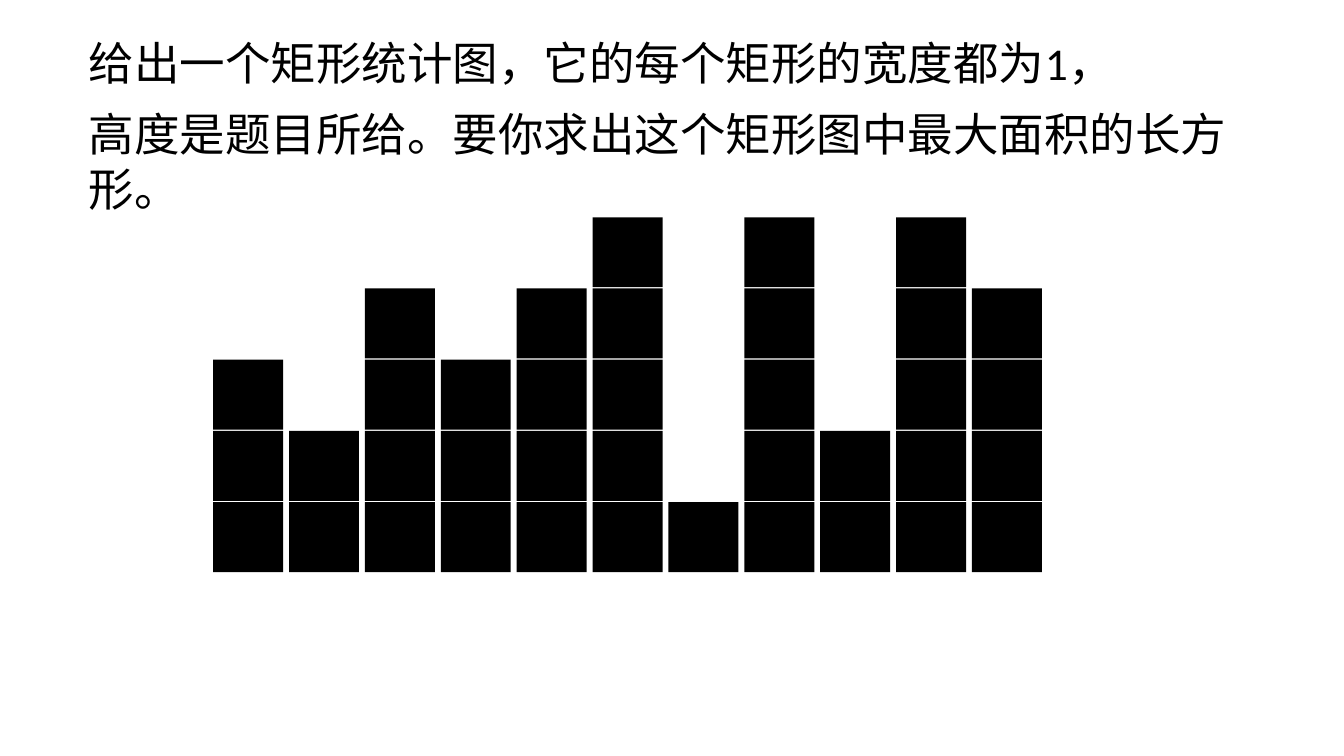
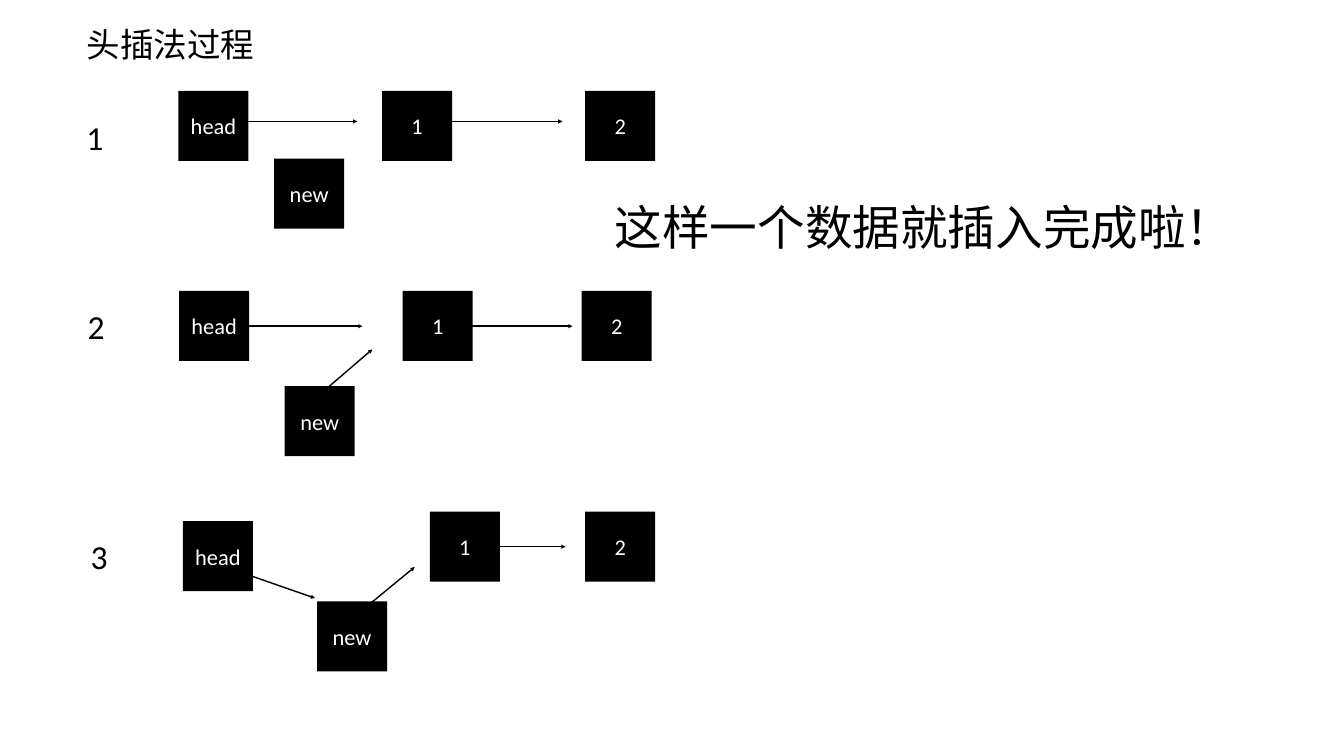
import pptx
import pptx.dml.color
import pptx.enum.shapes
import pptx.enum.text
import pptx.oxml
import pptx.oxml.ns
import pptx.util

Pt = pptx.util.Pt
Anchor = pptx.enum.text.MSO_ANCHOR
Align = pptx.enum.text.PP_ALIGN

# Content: histogram slide
PROBLEM = [
    "给出一个矩形统计图，它的每个矩形的宽度都为1，",
    "高度是题目所给。要你求出这个矩形图中最大面积的长方形。",
]
BAR_HEIGHTS = [3, 2, 4, 3, 4, 5, 1, 5, 2, 5, 4]

# Content: head insertion slide (nodes: left, top; arrows: from, to)
TITLE = "头插法过程"
CONCLUSION = "这样一个数据就插入完成啦！"
STEPS = [
    {
        "number": ("1", 119.5, 158.5),
        "nodes": {"head": (255, 130), "new": (391.7, 226.8),
                  "1": (545.8, 130), "2": (836, 130)},
        "arrows": [(343, 173.5, 510.5, 173.5), (635, 173.5, 803.5, 173.5)],
    },
    {
        "number": ("2", 121, 429),
        "nodes": {"head": (256, 415.5), "new": (406.8, 551.5),
                  "1": (575.3, 415.5), "2": (831, 415.5)},
        "arrows": [(350, 466, 518, 466), (412, 602, 532, 499),
                   (650, 466, 818, 466)],
    },
    {
        "number": ("3", 125.5, 757.5),
        "nodes": {"head": (261.4, 744.5), "new": (453, 859),
                  "1": (614, 731), "2": (836, 731)},
        "arrows": [(282, 796, 450, 854.5), (471.5, 909.5, 592.5, 810),
                   (639.5, 781, 808, 781)],
    },
]

# Theme and layout rules
THEME = {
    "font": "Calibri",
    "ink": pptx.dml.color.RGBColor(0, 0, 0),
    "paper": pptx.dml.color.RGBColor(255, 255, 255),
    "problem": 65, "conclusion": 68, "label": 48, "node": 32,
    "space": 24, "inset": 4, "line": 2,
}
PAGE_SIZE = (1920, 1080)
TILE = 100
BARS_LEFT, BARS_BASE = 304.5, 817.2
COLUMN_STEP, ROW_STEP = 108.4, 101.7


def apply(target, values):
    for name, value in values.items():
        setattr(target, name, value)


def write(frame, lines, size, color, align, wrap):
    inset = Pt(THEME["inset"])
    apply(frame, {"word_wrap": wrap, "vertical_anchor": Anchor.MIDDLE,
                  "margin_left": inset, "margin_right": inset,
                  "margin_top": inset, "margin_bottom": inset})
    for index, line in enumerate(lines):
        para = frame.add_paragraph() if index else frame.paragraphs[0]
        para.alignment = align
        if index:
            para.space_before = Pt(THEME["space"])
        span = para.add_run()
        span.text = line
        apply(span.font, {"name": THEME["font"], "size": Pt(size)})
        span.font.color.rgb = color


def add_text(page, lines, place, size, wrap=False):
    box = page.shapes.add_textbox(*map(Pt, place))
    write(box.text_frame, lines, size, THEME["ink"], Align.LEFT, wrap)
    box.text_frame.auto_size = pptx.enum.text.MSO_AUTO_SIZE.SHAPE_TO_FIT_TEXT


def add_tile(page, left, top, label=None):
    tile = page.shapes.add_shape(pptx.enum.shapes.MSO_SHAPE.RECTANGLE,
                                 Pt(left), Pt(top), Pt(TILE), Pt(TILE))
    tile.shadow.inherit = False
    tile.fill.solid()
    tile.fill.fore_color.rgb = THEME["ink"]
    tile.line.fill.background()
    if label:
        write(tile.text_frame, [label], THEME["node"], THEME["paper"],
              Align.CENTER, True)


def add_arrow(page, ends):
    arrow = page.shapes.add_connector(
        pptx.enum.shapes.MSO_CONNECTOR.STRAIGHT, *map(Pt, ends))
    arrow.line.color.rgb = THEME["ink"]
    arrow.line.width = Pt(THEME["line"])
    head = pptx.oxml.parse_xml(
        f'<a:tailEnd {pptx.oxml.ns.nsdecls("a")} type="triangle"/>')
    arrow.line._get_or_add_ln().append(head)
    arrow._element.spPr.append(pptx.oxml.parse_xml(
        f'<a:effectLst {pptx.oxml.ns.nsdecls("a")}/>'))


def add_page(deck):
    page = deck.slides.add_slide(deck.slide_layouts[6])
    page.background.fill.solid()
    page.background.fill.fore_color.rgb = THEME["paper"]
    return page


def build_histogram(deck):
    page = add_page(deck)
    # Narrow enough to break before the last character
    add_text(page, PROBLEM, (123, 70.5, 1690, 216), THEME["problem"], wrap=True)
    for column, height in enumerate(BAR_HEIGHTS):
        for row in range(height):
            add_tile(page, BARS_LEFT + column * COLUMN_STEP,
                     BARS_BASE - TILE - row * ROW_STEP)


def build_head_insertion(deck):
    page = add_page(deck)
    add_text(page, [TITLE], (119.5, 25, 249, 75), THEME["label"])
    for step in STEPS:
        number, left, top = step["number"]
        add_text(page, [number], (left, top, 37, 74), THEME["label"])
        # Arrows start behind their nodes
        for ends in step["arrows"]:
            add_arrow(page, ends)
        for label, (left, top) in step["nodes"].items():
            add_tile(page, left, top, label)
    add_text(page, [CONCLUSION], (874, 271.5, 893, 103), THEME["conclusion"])


def main():
    deck = pptx.Presentation()
    deck.slide_width, deck.slide_height = map(Pt, PAGE_SIZE)
    build_histogram(deck)
    build_head_insertion(deck)
    deck.save("out.pptx")


if __name__ == "__main__":
    main()
